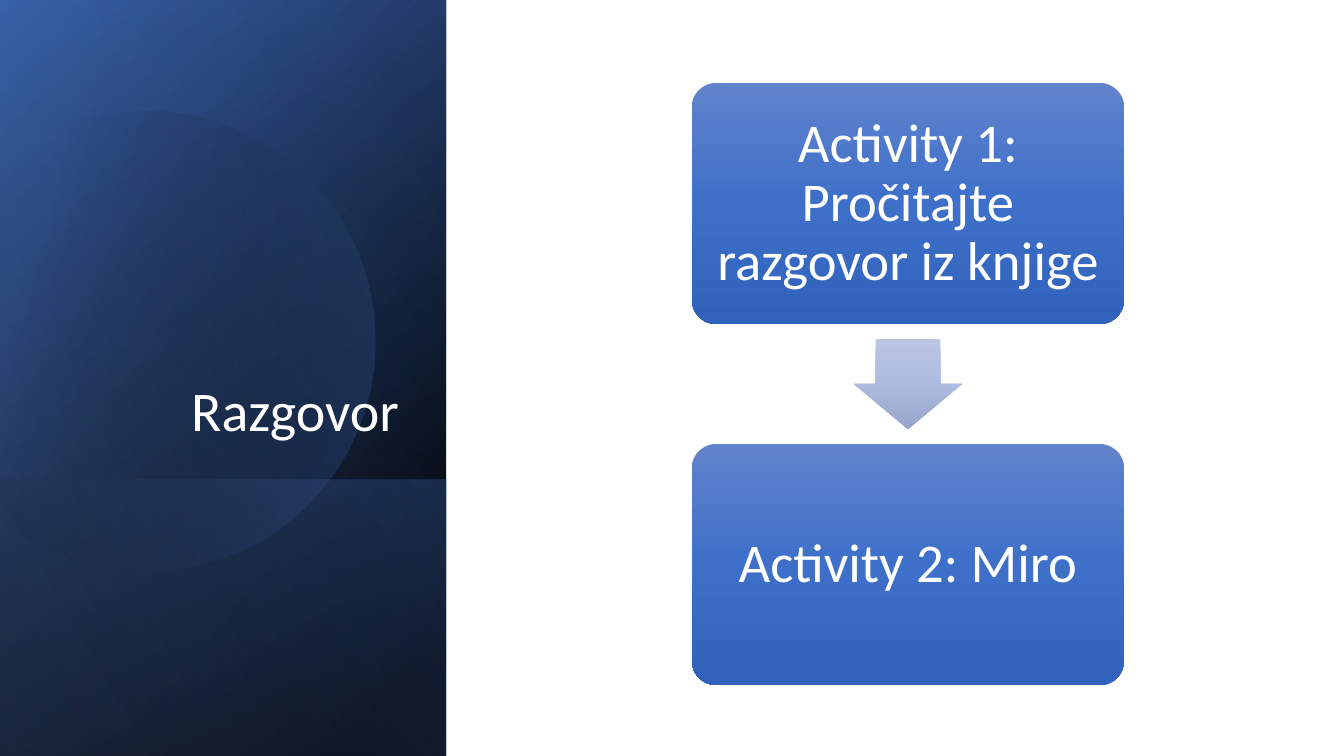
import math

from pptx import Presentation
from pptx import util as u
from pptx.dml.color import RGBColor
from pptx.enum import shapes, text
from pptx.oxml import parse_xml
from pptx.oxml.ns import nsdecls

COLORS = {
    "black": "000000", "white": "FFFFFF", "navy": "2F5597", "blue": "4472C4",
    "sky": "8FAADC", "box_top": "6183CB", "box_mid": "3E70CA",
    "box_end": "3062BB", "arrow_top": "BBC5E3", "arrow_mid": "AEBBE0",
    "arrow_end": "98A4CB",
}
PX = 12192000 / 1344


def px(length):
    return u.Emu(round(length * PX))


def bezier(start, first, second, end, steps=16):
    for step in range(1, steps + 1):
        t = step / steps
        weights = ((1 - t) ** 3, 3 * t * (1 - t) ** 2, 3 * t * t * (1 - t), t ** 3)
        yield tuple(sum(w * p[axis] for w, p in zip(weights, (start, first, second, end)))
                    for axis in (0, 1))


class Deck:
    font = "Calibri"

    def __init__(self):
        self.presentation = Presentation()
        self.presentation.slide_width = px(1344)
        self.presentation.slide_height = px(756)
        self.slide = self.presentation.slides.add_slide(self.presentation.slide_layouts[6])

    def paint(self, shape, stops, angle):
        entries = "".join(
            f'<a:gs pos="{position * 1000}"><a:srgbClr val="{COLORS[color]}">'
            f'<a:alpha val="{opacity * 1000}"/></a:srgbClr></a:gs>'
            for position, color, opacity in stops)
        gradient = parse_xml(
            f'<a:gradFill {nsdecls("a")} rotWithShape="1"><a:gsLst>{entries}</a:gsLst>'
            f'<a:lin ang="{angle * 60000}" scaled="0"/></a:gradFill>')
        shape._element.spPr.insert(2, gradient)
        shape.line.fill.background()
        shape.shadow.inherit = False

    def shape(self, kind, box, stops, angle, adjustments=()):
        shape = self.slide.shapes.add_shape(kind, *map(px, box))
        for index, value in enumerate(adjustments):
            shape.adjustments[index] = value
        self.paint(shape, stops, angle)
        return shape

    def panel(self, box, stops, angle):
        panel = self.shape(shapes.MSO_SHAPE.RECTANGLE, box, stops, angle)
        panel.rotation = 90
        panel._element.spPr.xfrm.set("flipH", "1")

    def outline(self, points, center, rotation, stops, angle):
        turn = math.radians(-rotation)
        cos, sin = math.cos(turn), math.sin(turn)
        turned = []
        for x, y in points:
            dx, dy = x - center[0], y - center[1]
            turned.append((px(center[0] + dx * cos - dy * sin),
                           px(center[1] + dx * sin + dy * cos)))
        builder = self.slide.shapes.build_freeform(*turned[0])
        builder.add_line_segments(turned[1:], close=True)
        disc = builder.convert_to_shape()
        disc.rotation = rotation
        self.paint(disc, stops, angle)

    def label(self, shape, wording, size, align, anchor, insets):
        frame = shape.text_frame
        across, down = map(px, insets)
        frame_format = {
            "word_wrap": True, "vertical_anchor": anchor,
            "margin_left": across, "margin_right": across,
            "margin_top": down, "margin_bottom": down,
        }
        paragraph = frame.paragraphs[0]
        run = paragraph.add_run()
        run.text = wording
        for target, values in (
            (frame, frame_format),
            (paragraph, {"alignment": align, "line_spacing": 0.9}),
            (run.font, {"name": self.font, "size": u.Pt(size)}),
        ):
            for name, value in values.items():
                setattr(target, name, value)
        run.font.color.rgb = RGBColor.from_string(COLORS["white"])

    def title(self, box, wording):
        title = self.slide.shapes.add_textbox(*map(px, box))
        self.label(title, wording, 40, text.PP_ALIGN.RIGHT, text.MSO_ANCHOR.BOTTOM, (10, 5))

    def activity(self, box, wording):
        stops = [(0, "box_top", 100), (50, "box_mid", 100), (100, "box_end", 100)]
        activity = self.shape(shapes.MSO_SHAPE.ROUNDED_RECTANGLE, box, stops, 90, [0.1])
        self.label(activity, wording, 39, text.PP_ALIGN.CENTER,
                   text.MSO_ANCHOR.MIDDLE, (16, 16))

    def arrow(self, box):
        stops = [(0, "arrow_top", 100), (50, "arrow_mid", 100), (100, "arrow_end", 100)]
        self.shape(shapes.MSO_SHAPE.DOWN_ARROW, box, stops, 90, [0.6, 0.5])


def main():
    deck = Deck()
    sidebar = (-155, 155, 756, 446)
    sidebar_foot = (85, 395, 276, 446)
    deck.panel(sidebar, [(8, "black", 100), (100, "navy", 100)], 50)
    deck.panel(sidebar, [(0, "black", 0), (99, "blue", 46)], 30)
    deck.panel(sidebar_foot, [(2, "blue", 29), (100, "black", 30)], 130)

    top, right, bottom = (150, 111), (366, 277), (209, 562)
    lower_left, upper_left = (-3, 518), (0, 162)
    disc = [
        top,
        *bezier(top, (248, 113), (338, 178), right),
        *bezier(right, (401, 400), (331, 527), bottom),
        *bezier(bottom, (132, 585), (53, 565), lower_left),
        (-15, 507), (-15, 176), upper_left,
        *bezier(upper_left, (23, 143), (50, 129), (81, 120)),
        *bezier((81, 120), (104, 114), (127, 111), top),
    ]
    deck.outline(disc, (160, 337), 343.9, [(29, "black", 0), (100, "blue", 43)], 30)
    deck.panel(sidebar, [(0, "black", 0), (99, "sky", 11)], 120)
    deck.title((65, 185, 344, 264), "Razgovor")

    left, first_top, width, height, gap = 692, 83, 432, 241, 120
    activities = ["Activity 1: Pročitajte razgovor iz knjige", "Activity 2: Miro"]
    for index, wording in enumerate(activities):
        deck.activity((left, first_top + index * (height + gap), width, height), wording)
    arrow_width, arrow_height = 108, 90
    deck.arrow((left + (width - arrow_width) // 2,
                first_top + height + (gap - arrow_height) // 2,
                arrow_width, arrow_height))
    deck.presentation.save("out.pptx")


if __name__ == "__main__":
    main()
